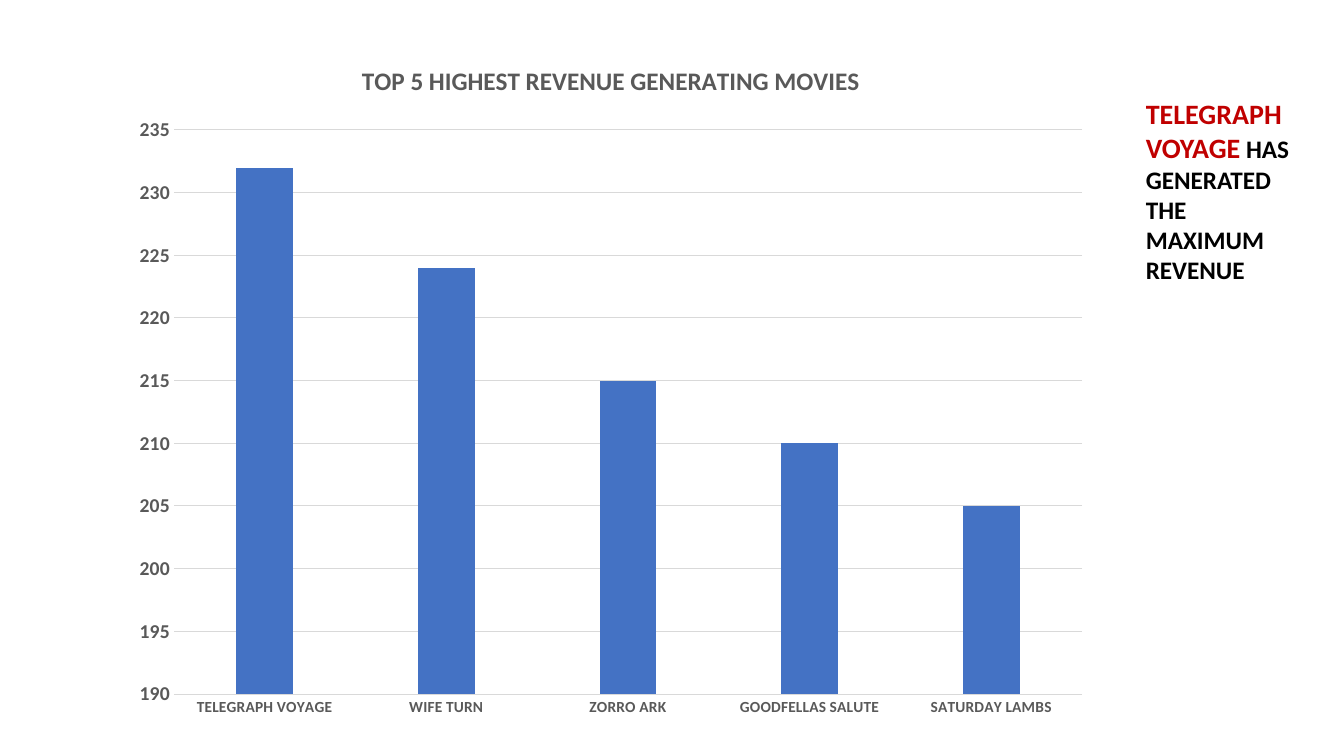
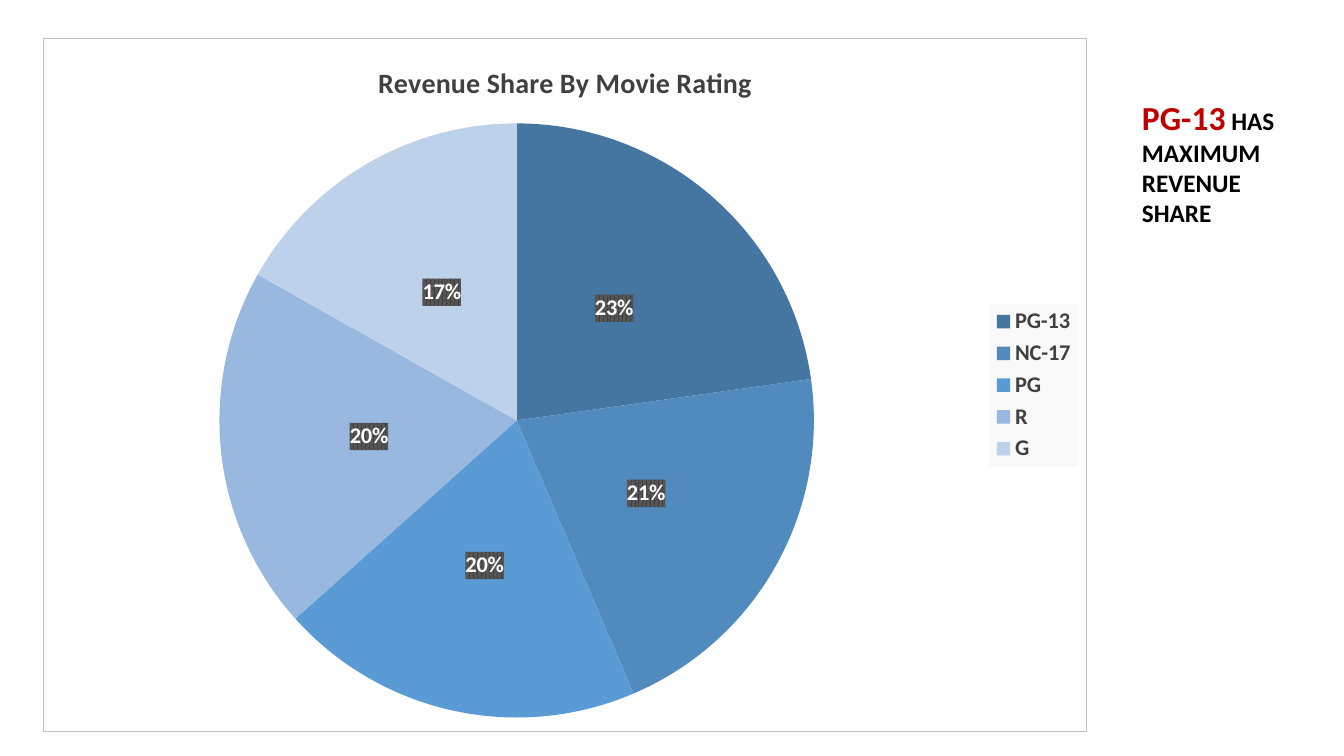
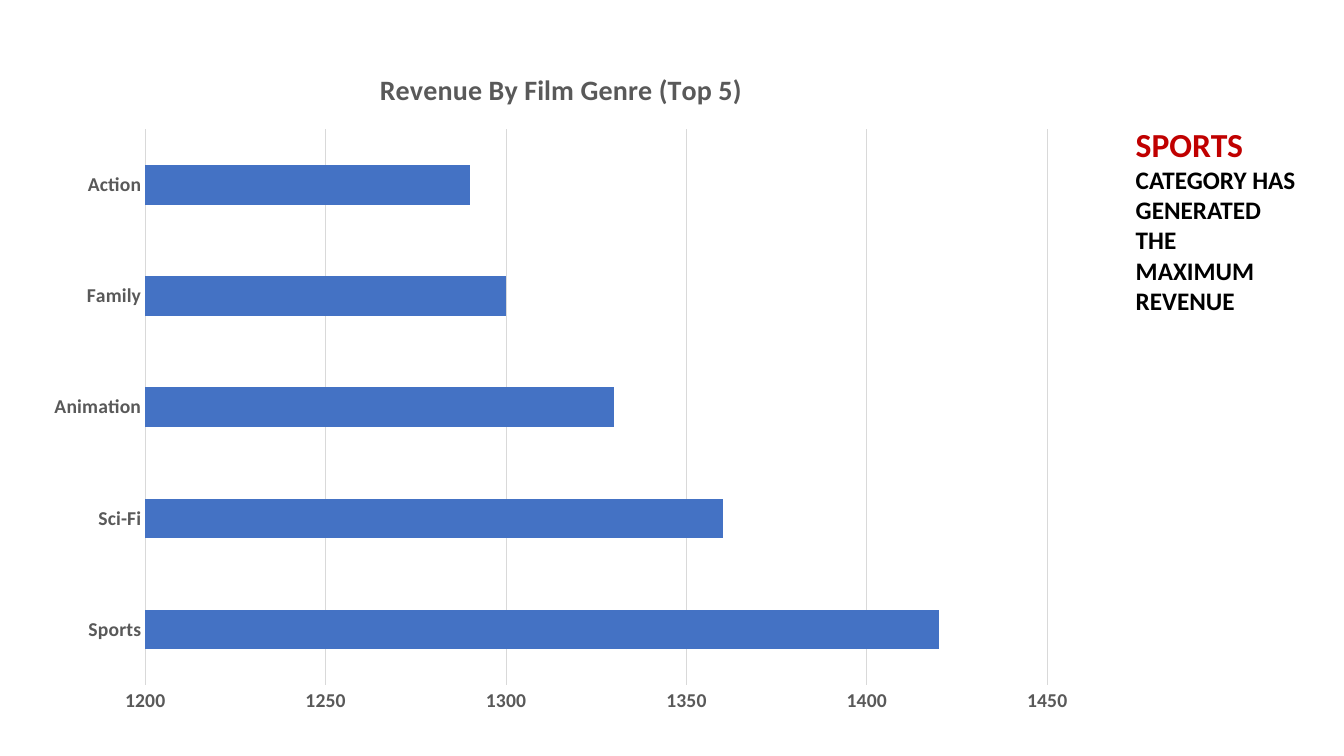
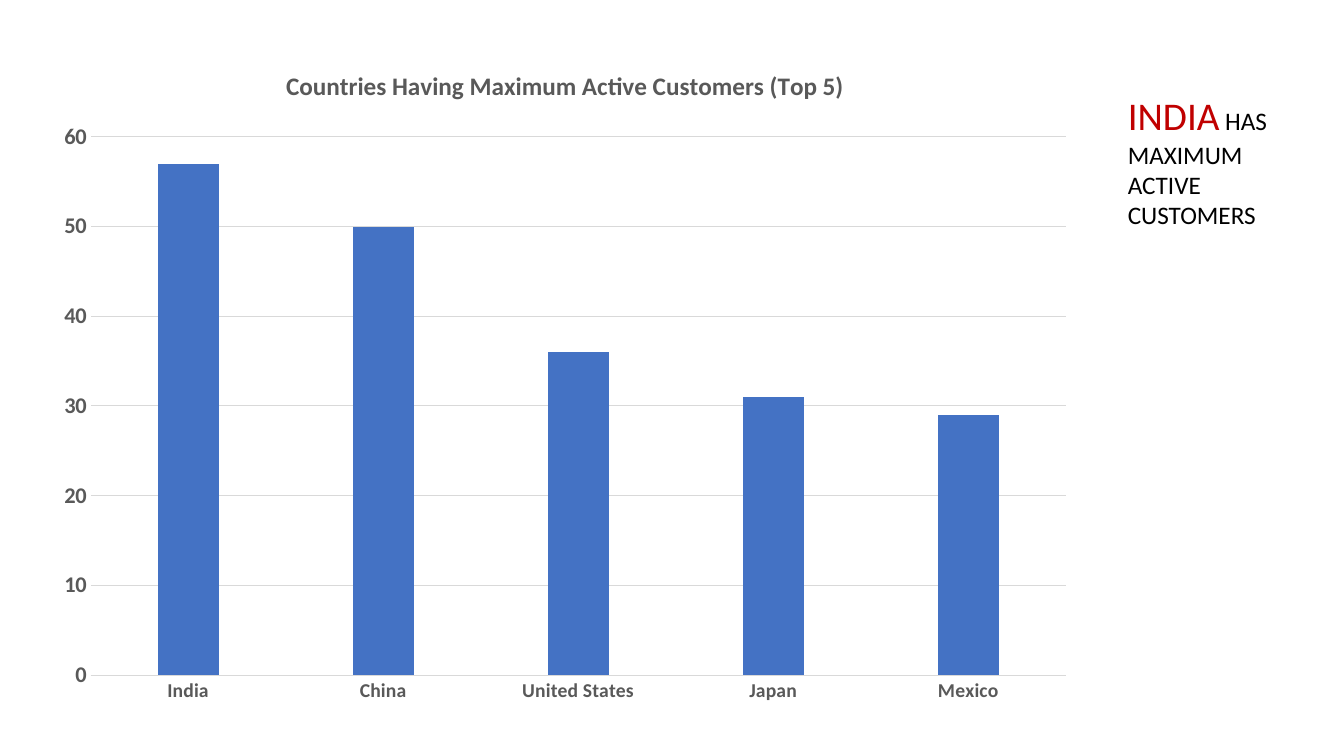
import lxml.etree
import pptx
import pptx.chart.data
import pptx.dml.color
import pptx.enum.chart
import pptx.enum.text
import pptx.oxml.ns
import pptx.util

Pt = pptx.util.Pt
qn = pptx.oxml.ns.qn
CHART_TYPE = pptx.enum.chart.XL_CHART_TYPE
NO_TICK = pptx.enum.chart.XL_TICK_MARK.NONE

FONT = "Calibri"
BLACK = "000000"
GRAY = "595959"
DARK_GRAY = "404040"
GRID = "D9D9D9"
BORDER = "BFBFBF"
LEGEND_FILL = "F9F9F9"
WHITE = "FFFFFF"
BAR = "4472C4"
HIGHLIGHT = "C00000"
SLICES = ["4576A2", "518ABD", "5B9BD5", "98B8E0", "BED1EA"]


def rgb(value):
    return pptx.dml.color.RGBColor.from_string(value)


def style_font(font, size, color, bold=True):
    font.name = FONT
    font.size = Pt(size)
    font.bold = bold
    font.color.rgb = rgb(color)


def solid_xml(color):
    return f'<a:solidFill><a:srgbClr val="{color}"/></a:solidFill>'


def pattern_xml(front, back):
    return (f'<a:pattFill prst="pct75"><a:fgClr><a:srgbClr val="{front}"/></a:fgClr>'
            f'<a:bgClr><a:srgbClr val="{back}"/></a:bgClr></a:pattFill>')


def set_box_format(element, content):
    """Give a chart part a fill or outline, placed before its text properties."""
    namespaces = pptx.oxml.ns.nsdecls("c", "a")
    properties = lxml.etree.fromstring(f"<c:spPr {namespaces}>{content}</c:spPr>")
    element.find(qn("c:txPr")).addprevious(properties)


def add_chart(slide, kind, box, title, title_size, categories, values, title_color=GRAY):
    data = pptx.chart.data.CategoryChartData()
    data.categories = categories
    data.add_series("Series 1", values)
    chart = slide.shapes.add_chart(kind, *map(Pt, box), data).chart
    style_font(chart.font, 10, BLACK, bold=False)
    chart.has_legend = False
    chart.has_title = True
    chart.chart_title.include_in_layout = False
    run = chart.chart_title.text_frame.paragraphs[0].add_run()
    run.text = title
    style_font(run.font, title_size, title_color)
    return chart


def style_axis(axis, label_size):
    axis.major_tick_mark = NO_TICK
    axis.minor_tick_mark = NO_TICK
    style_font(axis.tick_labels.font, label_size, GRAY)


def style_line(line, color):
    line.color.rgb = rgb(color)
    line.width = Pt(0.75)


def add_bar_chart(slide, kind, box, title, title_size, categories, values,
                  scale, label_sizes, gap, overlap=0):
    """Draw one series of bars; scale is (minimum, maximum, step)."""
    chart = add_chart(slide, kind, box, title, title_size, categories, values)
    plot = chart.plots[0]
    plot.vary_by_categories = False
    plot.gap_width = gap
    plot.overlap = overlap
    fill = plot.series[0].format.fill
    fill.solid()
    fill.fore_color.rgb = rgb(BAR)

    category_axis, value_axis = chart.category_axis, chart.value_axis
    for axis, size in zip((category_axis, value_axis), label_sizes):
        style_axis(axis, size)
    style_line(category_axis.format.line, GRID)
    category_axis.has_major_gridlines = False
    value_axis.format.line.fill.background()
    value_axis.has_major_gridlines = True
    style_line(value_axis.major_gridlines.format.line, GRID)
    value_axis.minimum_scale, value_axis.maximum_scale, value_axis.major_unit = scale


def add_pie_chart(slide, box, title, title_size, categories, values):
    chart = add_chart(slide, CHART_TYPE.PIE, box, title, title_size,
                      categories, values, DARK_GRAY)
    chart.plots[0].vary_by_categories = True
    series = chart.plots[0].series[0]
    for index, color in enumerate(SLICES):
        fill = series.points[index].format.fill
        fill.solid()
        fill.fore_color.rgb = rgb(color)

    labels = series.data_labels
    labels.show_value = False
    labels.show_percentage = True
    labels.number_format = "0%"
    labels.number_format_is_linked = False
    labels.position = pptx.enum.chart.XL_LABEL_POSITION.CENTER
    style_font(labels.font, 16, WHITE)

    chart.has_legend = True
    chart.legend.position = pptx.enum.chart.XL_LEGEND_POSITION.RIGHT
    chart.legend.include_in_layout = False
    style_font(chart.legend.font, 16, DARK_GRAY)

    root = chart.element
    set_box_format(next(root.iter(qn("c:dLbls"))), pattern_xml(DARK_GRAY, GRAY))
    set_box_format(next(root.iter(qn("c:legend"))), solid_xml(LEGEND_FILL))
    outline = f'<a:ln w="{Pt(0.75)}">{solid_xml(BORDER)}</a:ln>'
    set_box_format(root, solid_xml(WHITE) + outline)
    if root.find(qn("c:roundedCorners")) is None:
        corners = lxml.etree.Element(qn("c:roundedCorners"), val="0")
        root.find(qn("c:chart")).addprevious(corners)


def add_finding(slide, box, subject, subject_size, statement, bold=True):
    """Add the side note: a red subject followed by a black statement."""
    frame = slide.shapes.add_textbox(*map(Pt, box)).text_frame
    frame.word_wrap = True
    frame.auto_size = pptx.enum.text.MSO_AUTO_SIZE.SHAPE_TO_FIT_TEXT
    paragraph = frame.paragraphs[0]
    for text, size, color in ((subject, subject_size, HIGHLIGHT),
                              (" " + statement, 18, BLACK)):
        run = paragraph.add_run()
        run.text = text
        style_font(run.font, size, color, bold)


def main():
    presentation = pptx.Presentation()
    presentation.slide_width = Pt(960)
    presentation.slide_height = Pt(540)
    blank = presentation.slide_layouts[6]

    slide = presentation.slides.add_slide(blank)
    add_bar_chart(slide, CHART_TYPE.COLUMN_CLUSTERED, (85.7, 28, 701.3, 494),
                  "TOP 5 HIGHEST REVENUE GENERATING MOVIES", 18,
                  ["TELEGRAPH VOYAGE", "WIFE TURN", "ZORRO ARK",
                   "GOODFELLAS SALUTE", "SATURDAY LAMBS"],
                  [232, 224, 215, 210, 205],
                  scale=(190, 235, 5), label_sizes=(11, 14), gap=219, overlap=-27)
    add_finding(slide, (811.4, 65.5, 127.4, 143.3), "TELEGRAPH VOYAGE", 20,
                "HAS GENERATED THE MAXIMUM REVENUE")

    slide = presentation.slides.add_slide(blank)
    add_pie_chart(slide, (31, 27.4, 745.2, 495.4),
                  "Revenue Share By Movie Rating", 20,
                  ["PG-13", "NC-17", "PG", "R", "G"], [23, 21, 20, 20, 17])
    add_finding(slide, (808.6, 65.5, 138.2, 101.5), "PG-13", 24,
                "HAS MAXIMUM REVENUE SHARE")

    slide = presentation.slides.add_slide(blank)
    add_bar_chart(slide, CHART_TYPE.BAR_CLUSTERED, (23.8, 32.4, 753.8, 486.7),
                  "Revenue By Film Genre (Top 5)", 20,
                  ["Sports", "Sci-Fi", "Animation", "Family", "Action"],
                  [1420, 1360, 1330, 1300, 1290],
                  scale=(1200, 1450, 50), label_sizes=(14, 14), gap=182)
    add_finding(slide, (804.2, 85, 131.8, 145.4), "SPORTS", 24,
                "CATEGORY HAS GENERATED THE MAXIMUM REVENUE")

    slide = presentation.slides.add_slide(blank)
    add_bar_chart(slide, CHART_TYPE.COLUMN_CLUSTERED, (31, 32.4, 745.2, 479.5),
                  "Countries Having Maximum Active Customers (Top 5)", 18,
                  ["India", "China", "United States", "Japan", "Mexico"],
                  [57, 50, 36, 31, 29],
                  scale=(0, 60, 10), label_sizes=(14, 16), gap=219, overlap=-27)
    add_finding(slide, (798.5, 62, 141, 106.6), "INDIA", 28,
                "HAS MAXIMUM ACTIVE CUSTOMERS", bold=False)

    presentation.save("out.pptx")


if __name__ == "__main__":
    main()
